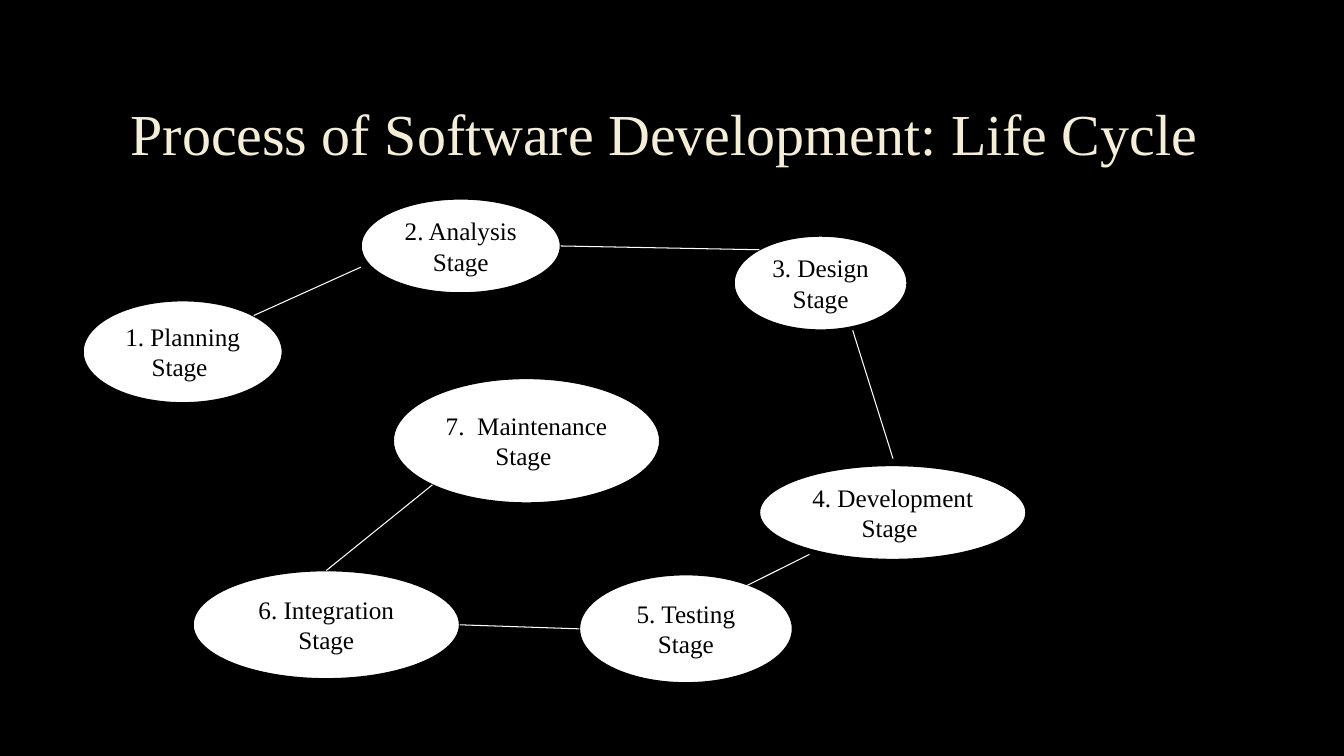
from lxml import etree
from pptx import Presentation
from pptx.dml.color import RGBColor
from pptx.enum.shapes import MSO_CONNECTOR, MSO_SHAPE
from pptx.enum.text import MSO_ANCHOR, PP_ALIGN
from pptx.oxml.ns import qn
from pptx.util import Pt

OVAL = MSO_SHAPE.OVAL
STRAIGHT = MSO_CONNECTOR.STRAIGHT
MIDDLE = MSO_ANCHOR.MIDDLE
CENTER = PP_ALIGN.CENTER
FONT = "Times New Roman"
COLORS = {"black": "000000", "white": "FFFFFF", "cream": "F4EDD8"}


def rgb(name):
    return RGBColor.from_string(COLORS[name])


def add_text(shape, text, size, color):
    tf = shape.text_frame
    tf.word_wrap = True
    tf.vertical_anchor = MIDDLE
    p = tf.paragraphs[0]
    p.alignment = CENTER
    r = p.add_run()
    r.text = text
    r.font.name = FONT
    r.font.size = Pt(size)
    r.font.color.rgb = rgb(color)
    return p


prs = Presentation()
prs.slide_width = Pt(960)
prs.slide_height = Pt(540)
s = prs.slides.add_slide(prs.slide_layouts[6])
s.background.fill.solid()
s.background.fill.fore_color.rgb = rgb("black")

title = s.shapes.add_textbox(Pt(72), Pt(48.2), Pt(815), Pt(99.4))
p = add_text(title, "Process of Software Development: Life Cycle ", 41.4, "cream")
p.line_spacing = 0.9

stages = [
    ("1. Planning Stage ", 59.2, 214.7, 142.6, 73.2),
    ("2. Analysis Stage", 257.8, 142, 142.6, 67.4),
    ("3. Design Stage", 524.2, 168.5, 123.8, 67.4),
    ("4. Development Stage ", 542.4, 332.4, 190.6, 67.4),
    ("5. Testing Stage", 413.8, 410.4, 152.4, 77.5),
    ("6. Integration Stage", 137.8, 407.5, 190.6, 77.5),
    ("7.  Maintenance Stage ", 280.8, 270.2, 190.6, 89.2),
]
ovals = []
for text, x, y, w, h in stages:
    sp = s.shapes.add_shape(OVAL, Pt(x), Pt(y), Pt(w), Pt(h))
    sp.shadow.inherit = False
    sp.fill.solid()
    sp.fill.fore_color.rgb = rgb("white")
    sp.line.color.rgb = rgb("black")
    sp.line.width = Pt(1.25)
    add_text(sp, text, 18, "black")
    ovals.append(sp)

links = [
    (181.2, 225.4, 257.8, 190.8),
    (400.4, 175.7, 542.4, 178.4),
    (609.1, 236, 637.9, 327.6),
    (578.2, 396, 533.5, 418.3),
    (413.8, 449.2, 328.4, 446.3),
    (233.1, 407.5, 308.9, 346.3),
]
lines = []
for x1, y1, x2, y2 in links:
    line = s.shapes.add_connector(STRAIGHT, Pt(x1), Pt(y1), Pt(x2), Pt(y2))
    line.line.color.rgb = rgb("white")
    line.line.width = Pt(0.75)
    etree.SubElement(line._element.spPr, qn("a:effectLst"))
    lines.append(line)
lines[-1].begin_connect(ovals[5], 0)

prs.save("out.pptx")
